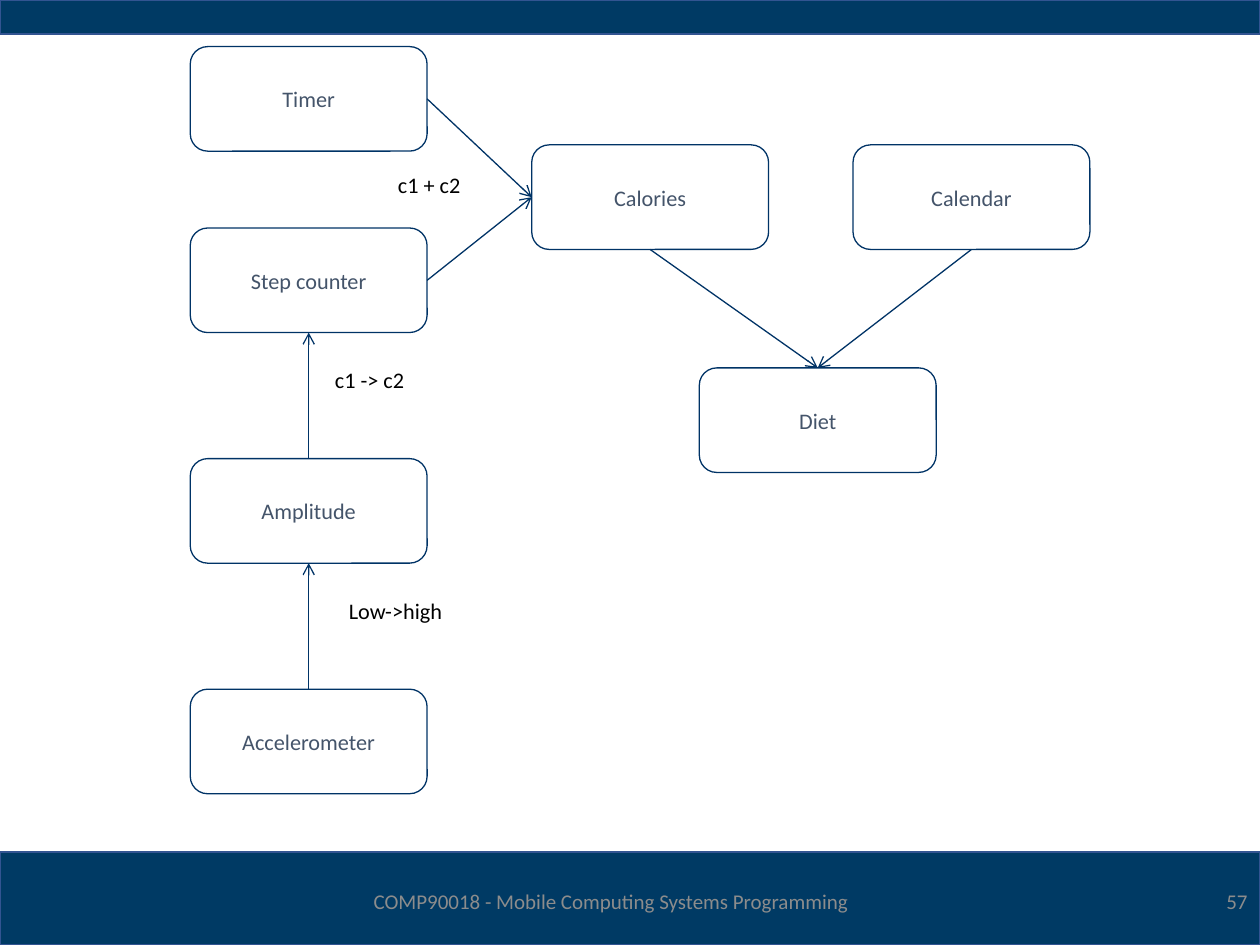
from pptx import Presentation
from pptx.util import Inches, Pt
from pptx.dml.color import RGBColor
from pptx.enum.shapes import MSO_SHAPE as Shape, MSO_CONNECTOR as Link
from pptx.enum.text import PP_ALIGN as Align, MSO_ANCHOR as Anchor, MSO_AUTO_SIZE as Auto
from pptx.oxml.ns import qn
from lxml.etree import SubElement as Sub

TOP, LEFT, BOTTOM, RIGHT = range(4)


def color(code):
    return RGBColor.from_string(code)


def apply(item, style):
    for name, value in style.items():
        setattr(item, name, value)


class Sketch:
    font = "Calibri"
    navy, edge, line = "003A64", "325491", "003366"
    slate, grey, black = "44546A", "8C8C8C", "000000"
    pad = {"margin_left": Inches(0.07), "margin_right": Inches(0.07),
           "margin_top": Inches(0.04), "margin_bottom": Inches(0.04)}

    def __init__(self, deck):
        self.slide = deck.slides.add_slide(deck.slide_layouts[6])
        self.shapes = self.slide.shapes

    def letter(self, frame, text, size, tint, align, style):
        apply(frame, style)
        para = frame.paragraphs[0]
        para.alignment = align
        run = para.add_run()
        run.text = text
        apply(run.font, {"name": self.font, "size": Pt(size)})
        run.font.color.rgb = color(tint)

    def shape(self, kind, area, tint, width):
        item = self.shapes.add_shape(kind, *map(Inches, area))
        item.shadow.inherit = False
        item.line.color.rgb = color(tint)
        item.line.width = Pt(width)
        return item

    def band(self, top, high):
        item = self.shape(Shape.RECTANGLE, (0, top, 10, high), self.edge, 1)
        item.fill.solid()
        item.fill.fore_color.rgb = color(self.navy)

    def node(self, text, left, top):
        item = self.shape(Shape.ROUNDED_RECTANGLE, (left, top, 1.88, 0.83), self.line, 0.75)
        item.fill.background()
        style = {"word_wrap": True, "vertical_anchor": Anchor.MIDDLE, **self.pad}
        self.letter(item.text_frame, text, 12.7, self.slate, Align.CENTER, style)
        return item

    def arrow(self, start, out, end, into):
        item = self.shapes.add_connector(Link.STRAIGHT, 0, 0, 0, 0)
        item.begin_connect(start, out)
        item.end_connect(end, into)
        item.line.color.rgb = color(self.line)
        item.line.width = Pt(0.75)
        props = item.line._get_or_add_ln()
        Sub(props, qn("a:tailEnd"), type="arrow")
        Sub(props.getparent(), qn("a:effectLst"))

    def label(self, text, *area):
        box = self.shapes.add_textbox(*map(Inches, area))
        style = {"word_wrap": False, "auto_size": Auto.SHAPE_TO_FIT_TEXT}
        self.letter(box.text_frame, text, 12.7, self.black, Align.LEFT, style)

    def footer(self, text, left, width, align):
        box = self.shapes.add_textbox(*map(Inches, (left, 6.95, width, 0.4)))
        style = {"word_wrap": True, "vertical_anchor": Anchor.MIDDLE}
        self.letter(box.text_frame, text, 12, self.grey, align, style)


def main():
    deck = Presentation()
    apply(deck, {"slide_width": Inches(10), "slide_height": Inches(7.5)})
    art = Sketch(deck)

    art.band(6.76, 0.74)
    art.band(0, 0.27)

    places = {
        "Timer": (1.51, 0.37), "Step counter": (1.51, 1.81),
        "Amplitude": (1.51, 3.64), "Accelerometer": (1.51, 5.47),
        "Calories": (4.22, 1.15), "Calendar": (6.77, 1.15), "Diet": (5.55, 2.92),
    }
    nodes = {text: art.node(text, *spot) for text, spot in places.items()}

    for start, out, end, into in (
        ("Accelerometer", TOP, "Amplitude", BOTTOM),
        ("Amplitude", TOP, "Step counter", BOTTOM),
        ("Step counter", RIGHT, "Calories", LEFT),
        ("Timer", RIGHT, "Calories", LEFT),
        ("Calories", BOTTOM, "Diet", TOP),
        ("Calendar", BOTTOM, "Diet", TOP),
    ):
        art.arrow(nodes[start], out, nodes[end], into)

    art.label("Low->high", 2.67, 4.69, 0.94, 0.31)
    art.label("c1 + c2", 3.06, 1.31, 0.7, 0.31)
    art.label("c1 -> c2", 2.56, 2.86, 0.75, 0.31)

    art.footer("COMP90018 - Mobile Computing Systems Programming", 2.63, 4.44, Align.CENTER)
    art.footer("57", 7.75, 2.25, Align.RIGHT)
    deck.save("out.pptx")


if __name__ == "__main__":
    main()
